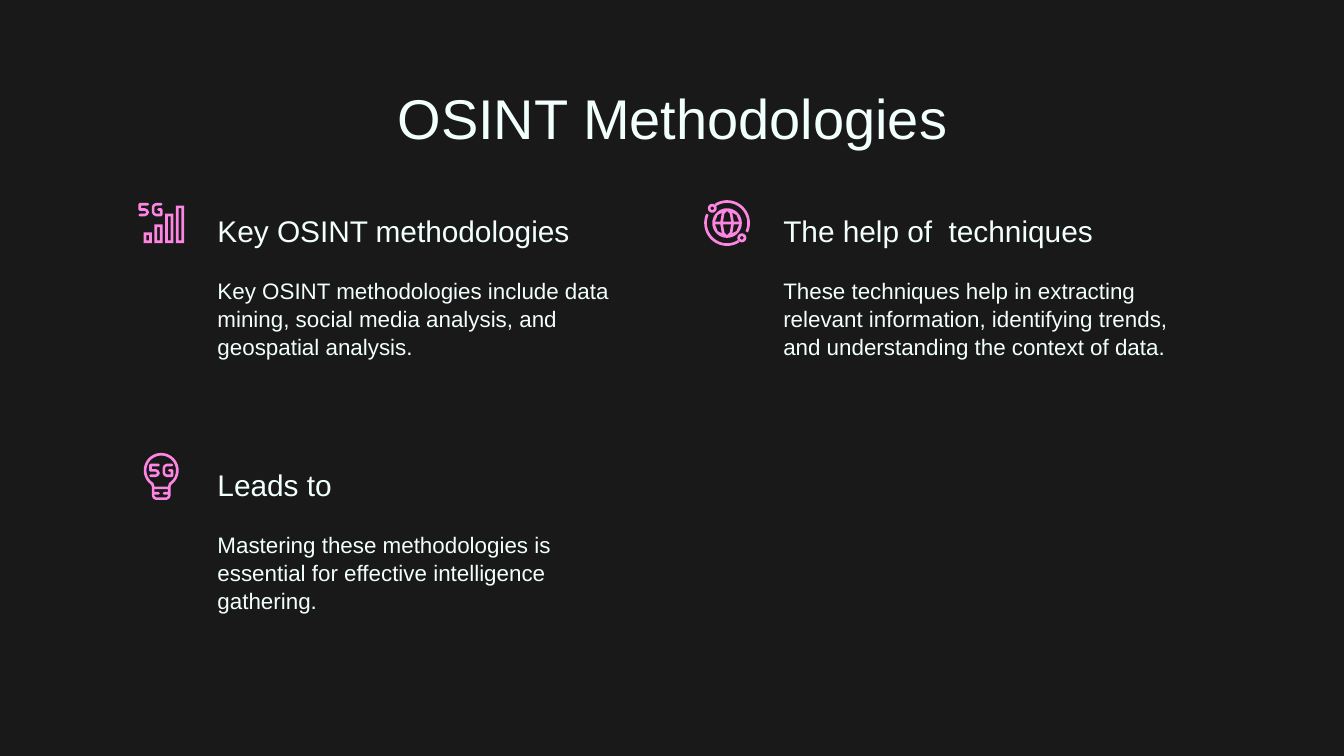
"""Build the OSINT Methodologies slide with three icon-led topics."""
from dataclasses import dataclass
from math import cos, radians, sin

from pptx import Presentation
from pptx.dml.color import RGBColor as Rgb
from pptx.enum.text import MSO_ANCHOR as Anchor, PP_ALIGN as Align
from pptx.util import Pt

PX = 9144
COLORS = {"background": "1A1919", "text": "F1FFFD", "icon": "FC86E1"}
Points = list[tuple[float, float]]

FIVE = [(7, 0), (1, 0), (0, 1), (0, 5), (1, 6), (5, 6), (6, 7), (5, 8), (1, 8), (0, 9),
        (1, 10), (5, 10), (7, 9), (8, 7), (7, 5), (5, 4), (2, 4), (2, 2), (7, 2), (8, 1)]
LETTER_G = [(7, 0), (3, 0), (1, 1), (0, 3), (0, 7), (1, 9), (3, 10), (7, 10), (8, 9),
            (8, 5), (7, 4), (5, 4), (4, 5), (5, 6), (6, 6), (6, 8), (3, 8), (2, 7),
            (2, 3), (3, 2), (7, 2), (8, 1)]


@dataclass(frozen=True)
class Style:
    size: int
    spacing: float = 1.0
    anchor: Anchor = Anchor.TOP
    align: Align = Align.LEFT


@dataclass(frozen=True)
class Topic:
    left: int
    top: int
    heading: str
    body: tuple[str, ...]
    icon: list[Points]


TITLE = Style(30, 1.07, align=Align.CENTER)
HEADING = Style(16, anchor=Anchor.BOTTOM)
BODY = Style(12, 1.05)


def shift(points: Points, left: float, top: float) -> Points:
    """Move points by an offset."""
    return [(x + left, y + top) for x, y in points]


def arc(radius: float, start: int = 0, stop: int = 360) -> Points:
    """Return points along an arc around the origin, in degrees."""
    steps = 36
    angles = [radians(start + (stop - start) * i / steps) for i in range(steps + 1)]
    return [(radius * cos(angle), radius * sin(angle)) for angle in angles]


def five_g(left: int, top: int) -> list[Points]:
    """Return the outlines of the 5G lettering."""
    return [shift(FIVE, left, top), shift(LETTER_G, left + 10, top)]


def signal_icon() -> list[Points]:
    """Return four rising hollow bars below the 5G lettering."""
    outlines = five_g(0, 0)
    for index, top in enumerate((22, 16, 8, 2)):
        left = 4 + 8 * index
        for inset in (0, 2):
            x1, x2, y1, y2 = left + inset, left + 6 - inset, top + inset, 30 - inset
            outlines.append([(x1, y1), (x2, y1), (x2, y2), (x1, y2)])
    return outlines


def bulb_icon() -> list[Points]:
    """Return a bulb around the 5G lettering."""
    center = 13
    shell = shift(arc(13, 127, 413), center, center) + [
        (20, 25), (20, 32), (19, 34), (17, 35), (9, 35), (7, 34), (6, 32), (6, 25)]
    glass = shift(arc(11, 122, 418), center, center) + [(18, 25), (8, 25)]
    base = [(8, 27), (18, 27), (18, 29), (15, 29), (14, 30), (15, 31), (18, 31), (18, 32),
            (17, 33), (9, 33), (8, 32), (8, 31), (11, 31), (12, 30), (11, 29), (8, 29)]
    return [shell, glass, base] + five_g(4, 8)


def globe_icon() -> list[Points]:
    """Return a globe inside an orbit with two satellites."""
    side = [(-9, -1), (-5, -1), (-4, -7), (-3, -8), (-7, -6)]
    middle = [(-3, -1), (-2, -7), (0, -9), (2, -7), (3, -1)]
    outlines = [arc(11)]
    for flip in (1, -1):
        outlines.append([(x, y * flip) for x, y in middle])
        outlines += [[(x * mirror, y * flip) for x, y in side] for mirror in (1, -1)]
        orbit = arc(17, -122, 24) + arc(15, 24, -122)
        outlines.append([(x * flip, y * flip) for x, y in orbit])
        outlines += [shift(arc(radius), -11 * flip, -11 * flip) for radius in (3.3, 1.3)]
    return [shift(points, 17, 17) for points in outlines]


def draw_icon(page, outlines: list[Points], left: int, top: int) -> None:
    """Draw all outlines as one filled freeform."""
    builder = None
    for outline in outlines:
        points = [(x * PX, y * PX) for x, y in shift(outline, left, top)]
        if builder is None:
            builder = page.shapes.build_freeform(*points[0])
        else:
            builder.move_to(*points[0])
        builder.add_line_segments(points[1:], close=True)
    shape = builder.convert_to_shape()
    shape.shadow.inherit = False
    shape.fill.solid()
    shape.fill.fore_color.rgb = Rgb.from_string(COLORS["icon"])
    shape.line.fill.background()


def add_text(page, place: tuple[int, ...], lines: tuple[str, ...], style: Style) -> None:
    """Add a text box with one paragraph per line."""
    box = page.shapes.add_textbox(*(value * PX for value in place))
    frame = box.text_frame
    margins = {f"margin_{side}": 10 * PX for side in ("left", "top", "right", "bottom")}
    for name, value in {"word_wrap": True, "vertical_anchor": style.anchor, **margins}.items():
        setattr(frame, name, value)
    for index, line in enumerate(lines):
        para = frame.add_paragraph() if index else frame.paragraphs[0]
        para.alignment, para.line_spacing = style.align, style.spacing
        span = para.add_run()
        span.text = line
        for name, value in {"name": "Arial", "size": Pt(style.size)}.items():
            setattr(span.font, name, value)
        span.font.color.rgb = Rgb.from_string(COLORS["text"])


def draw_topic(page, topic: Topic) -> None:
    """Draw a heading, its body text and its icon."""
    width = max(x for outline in topic.icon for x, _ in outline)
    add_text(page, (topic.left, topic.top, 324, 58), (topic.heading,), HEADING)
    add_text(page, (topic.left, topic.top + 58, 324, 99), topic.body, BODY)
    height = max(y for outline in topic.icon for _, y in outline)
    draw_icon(page, topic.icon, topic.left - 32 - round(width / 2),
              topic.top + 29 - round(height / 2))


def main() -> None:
    """Build and save the deck."""
    deck = Presentation()
    deck.slide_width, deck.slide_height = 1000 * PX, round(562.5 * PX)
    page = deck.slides.add_slide(deck.slide_layouts[6])
    page.background.fill.solid()
    page.background.fill.fore_color.rgb = Rgb.from_string(COLORS["background"])
    add_text(page, (79, 49, 843, 63), ("OSINT Methodologies",), TITLE)
    topics = [
        Topic(152, 137, "Key OSINT methodologies",
              ("Key OSINT methodologies include data mining, social media analysis, "
               "and geospatial analysis.",), signal_icon()),
        Topic(573, 137, "The help of  techniques",
              ("These techniques help in extracting",
               "relevant information, identifying trends, and understanding the "
               "context of data."), globe_icon()),
        Topic(152, 326, "Leads to",
              ("Mastering these methodologies is essential for effective intelligence "
               "gathering.",), bulb_icon()),
    ]
    for topic in topics:
        draw_topic(page, topic)


    deck.save("out.pptx")


if __name__ == "__main__":
    main()
